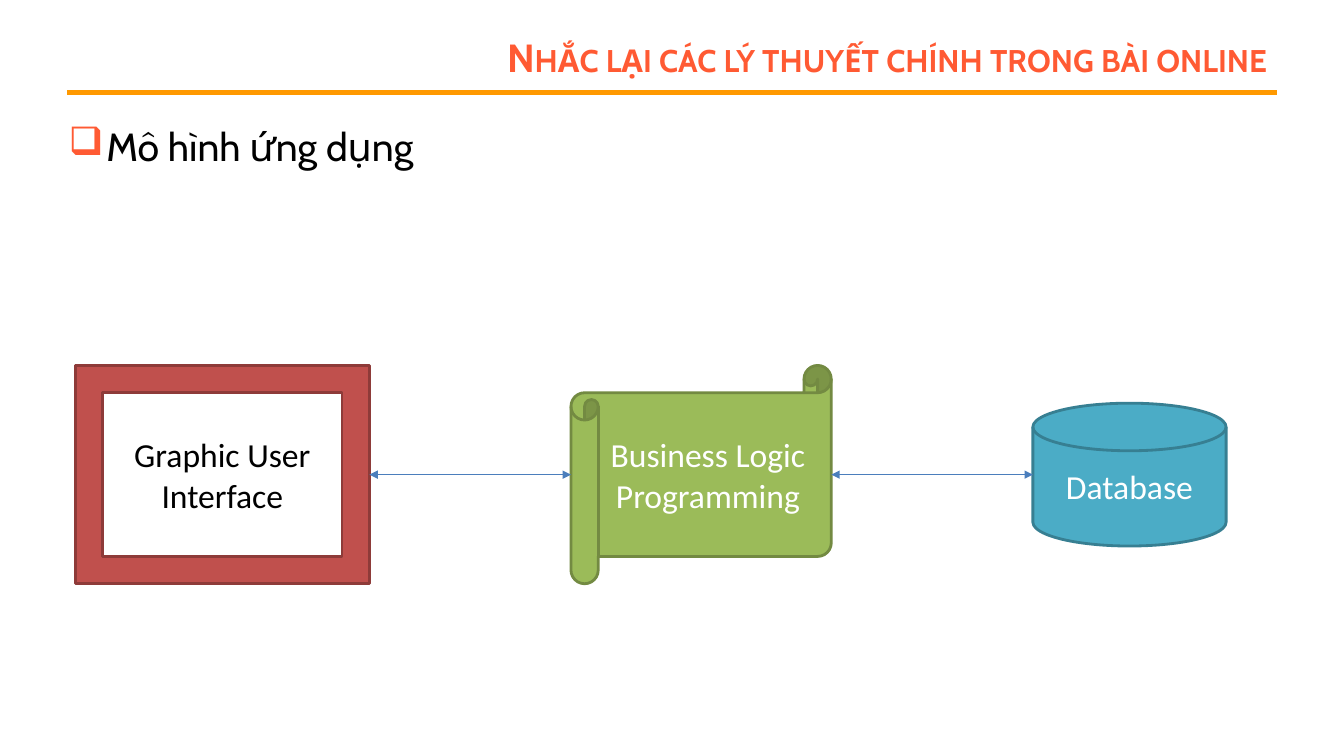
from collections import namedtuple
from itertools import pairwise

from lxml.etree import SubElement
from pptx import Presentation
from pptx.dml.color import RGBColor
from pptx.enum.shapes import MSO_CONNECTOR as Connector, MSO_SHAPE as Preset
from pptx.enum.text import MSO_ANCHOR as Anchor, PP_ALIGN as Align
from pptx.oxml.ns import qn
from pptx.util import Cm, Pt

ORANGE = RGBColor(0xFF, 0x5A, 0x33)
AMBER = RGBColor(0xFF, 0x99, 0x00)
BLACK = RGBColor(0x00, 0x00, 0x00)
WHITE = RGBColor(0xFF, 0xFF, 0xFF)
RED = RGBColor(0xC0, 0x50, 0x4D)
DARK_RED = RGBColor(0x8E, 0x3B, 0x39)
GREEN = RGBColor(0x9B, 0xBB, 0x59)
DARK_GREEN = RGBColor(0x73, 0x8A, 0x42)
TEAL = RGBColor(0x4B, 0xAC, 0xC6)
DARK_TEAL = RGBColor(0x37, 0x7F, 0x92)
BLUE = RGBColor(0x4B, 0x7E, 0xBC)

Box = namedtuple("Box", "left top width height")
Tier = namedtuple("Tier", "label preset offset width height fill line ink")

TIERS = [
    Tier("Graphic User Interface", Preset.FRAME, 0, 7.41, 5.5, RED, DARK_RED, BLACK),
    Tier("Business Logic Programming", Preset.HORIZONTAL_SCROLL, 12.49, 6.56, 5.5,
         GREEN, DARK_GREEN, WHITE),
    Tier("Database", Preset.FLOWCHART_MAGNETIC_DISK, 24.13, 4.87, 3.6, TEAL, DARK_TEAL, WHITE),
]


def add_span(para, text, font_name, size, color):
    """Add one styled run to a paragraph and return it."""
    span = para.add_run()
    span.text = text
    span.font.name = font_name
    span.font.size = Pt(size)
    span.font.color.rgb = color
    return span


def add_line(slide, start, end, color, width, arrows=False):
    """Draw a straight line, with an arrowhead at both ends if asked."""
    line = slide.shapes.add_connector(Connector.STRAIGHT, *map(Cm, start + end))
    line.line.color.rgb = color
    line.line.width = Pt(width)
    if arrows:
        outline = line.line._get_or_add_ln()
        for end_tag in ("a:headEnd", "a:tailEnd"):
            SubElement(outline, qn(end_tag), type="triangle")
    SubElement(line._element.spPr, qn("a:effectLst"))


def add_text_box(slide, box, anchor):
    """Add a wrapping text box and return its first paragraph."""
    frame = slide.shapes.add_textbox(*map(Cm, box)).text_frame
    frame.word_wrap = True
    frame.vertical_anchor = anchor
    return frame.paragraphs[0]


def add_header(slide, box):
    """Place the right-aligned title and the rule along the bottom of the box."""
    title_box = Box(box.left + 5.92, box.top, box.width - 5.92, 1.35)
    para = add_text_box(slide, title_box, Anchor.MIDDLE)
    para.alignment = Align.RIGHT
    span = add_span(para, "Nhắc lại các lý thuyết chính trong bài online", "Cabin", 28, ORANGE)
    span.font.bold = True
    span._r.get_or_add_rPr().set("cap", "small")
    bottom = box.top + box.height
    add_line(slide, (box.left, bottom), (box.left + box.width, bottom), AMBER, 3)


def add_topic(slide, box):
    """Write the bulleted topic in the box."""
    para = add_text_box(slide, box, Anchor.TOP)
    settings = para._p.get_or_add_pPr()
    settings.set("marL", str(Cm(0.95)))
    settings.set("indent", str(Cm(-0.95)))
    bullet_color = SubElement(settings, qn("a:buClr"))
    SubElement(bullet_color, qn("a:srgbClr"), val=str(ORANGE))
    SubElement(settings, qn("a:buChar"), char="❑")
    add_span(para, "Mô hình ứng dụng", "Cabin", 28, BLACK)


def add_tier(slide, tier, box):
    """Draw one application tier with its centred label."""
    shape = slide.shapes.add_shape(tier.preset, *map(Cm, box))
    shape.shadow.inherit = False
    shape.fill.solid()
    shape.fill.fore_color.rgb = tier.fill
    shape.line.color.rgb = tier.line
    shape.line.width = Pt(2)
    shape.text_frame.word_wrap = True
    shape.text_frame.vertical_anchor = Anchor.MIDDLE
    para = shape.text_frame.paragraphs[0]
    para.alignment = Align.CENTER
    add_span(para, tier.label, "Calibri", 24, tier.ink)


def add_model(slide, box):
    """Centre the tiers on the middle of the box and link the neighbours."""
    middle = box.top + box.height / 2
    for tier in TIERS:
        add_tier(slide, tier, Box(box.left + tier.offset, middle - tier.height / 2,
                                  tier.width, tier.height))
    for tier, following in pairwise(TIERS):
        start = box.left + tier.offset + tier.width
        end = box.left + following.offset
        add_line(slide, (start, middle), (end, middle), BLUE, 0.75, arrows=True)


def main():
    """Build the application model slide and save the deck."""
    deck = Presentation()
    deck.slide_width, deck.slide_height = Cm(33.87), Cm(19.05)
    page = deck.slides.add_slide(deck.slide_layouts[6])
    add_header(page, Box(1.7, 0.76, 30.48, 1.57))
    add_topic(page, Box(1.48, 2.96, 27.1, 1.45))
    add_model(page, Box(1.9, 9.21, 29, 5.5))
    deck.save("out.pptx")


if __name__ == "__main__":
    main()
